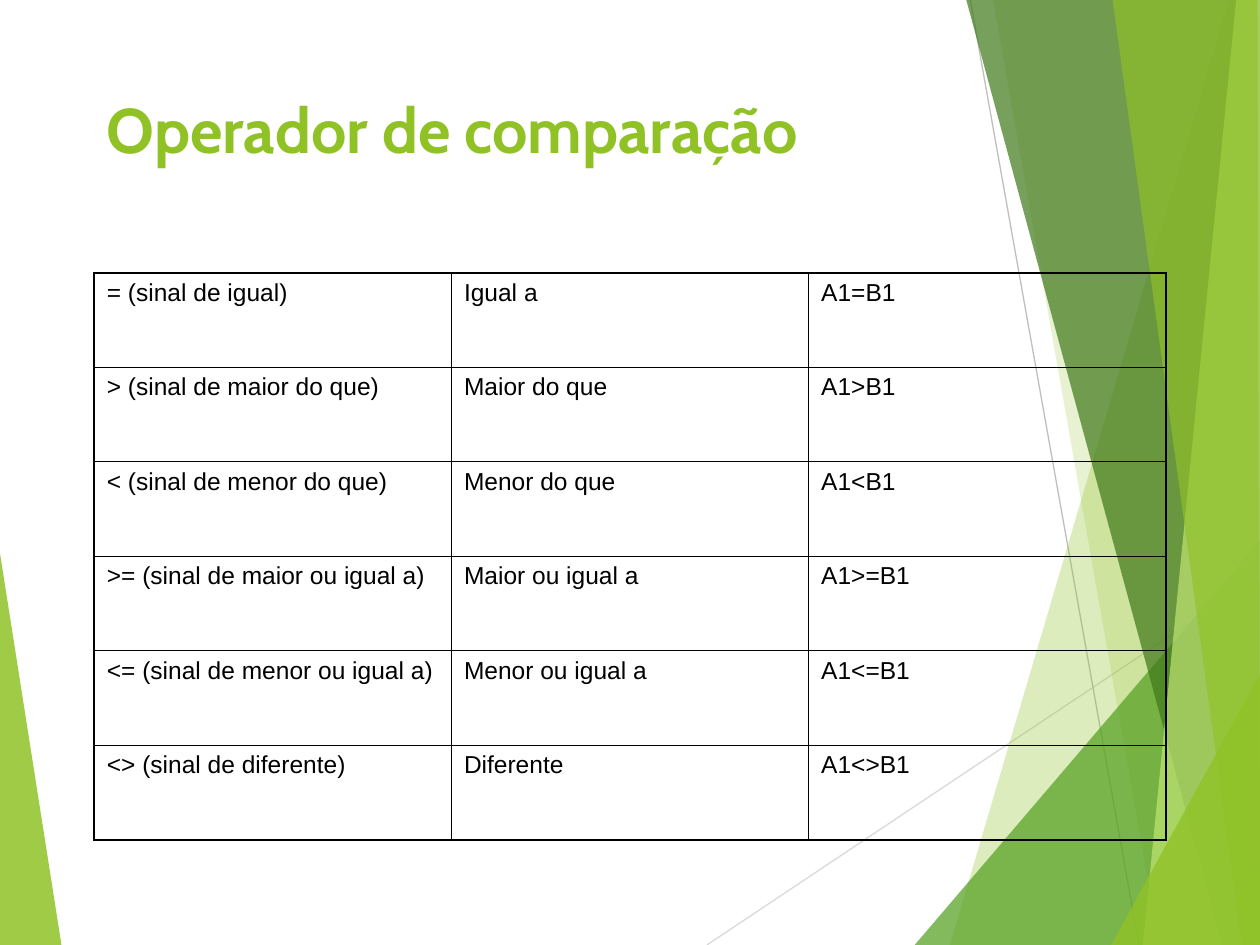
from lxml import etree
from pptx import Presentation
from pptx.dml.color import RGBColor
from pptx.enum.shapes import MSO_CONNECTOR
from pptx.enum.text import MSO_ANCHOR
from pptx.oxml.ns import qn
from pptx.util import Cm, Pt

STRAIGHT = MSO_CONNECTOR.STRAIGHT
TOP = MSO_ANCHOR.TOP
WIDTH, HEIGHT = 25.4, 19.05

# Content
TITLE = "Operador de comparação"
OPERATORS = [
    ("= (sinal de igual)", "Igual a", "A1=B1"),
    ("> (sinal de maior do que)", "Maior do que", "A1>B1"),
    ("< (sinal de menor do que)", "Menor do que", "A1<B1"),
    (">= (sinal de maior ou igual a)", "Maior ou igual a", "A1>=B1"),
    ("<= (sinal de menor ou igual a)", "Menor ou igual a", "A1<=B1"),
    ("<> (sinal de diferente)", "Diferente", "A1<>B1"),
]
COLORS = {
    "green": "90C226",
    "leaf": "54A021",
    "forest": "3F7819",
    "lime": "C0E474",
    "light_gray": "D9D9D9",
    "gray": "BFBFBF",
    "black": "000000",
}

# Decoration in cm: lines as (from, to, color), facets as (color, opacity %, points)
LINES = [
    ((14.25, HEIGHT), (WIDTH, 11.61), "light_gray"),
    ((19.56, 0), (22.96, HEIGHT), "gray"),
]
TOP_RIGHT, BOTTOM_RIGHT = (WIDTH, 0), (WIDTH, HEIGHT)
LEFT_FACET = ("green", 85, [(0, 11.15), (1.24, HEIGHT), (0, HEIGHT)])
RIGHT_FACETS = [
    ("green", 30, [(24.77, 0), (19.15, HEIGHT), BOTTOM_RIGHT, TOP_RIGHT]),
    ("green", 20, [(20.02, 0), (23.37, HEIGHT), BOTTOM_RIGHT, TOP_RIGHT]),
    ("leaf", 72, [(18.44, HEIGHT), (WIDTH, 10.9), BOTTOM_RIGHT]),
    ("forest", 70, [(19.48, 0), (24.64, HEIGHT), BOTTOM_RIGHT, TOP_RIGHT]),
    ("lime", 70, [(24.92, 0), (23.04, HEIGHT), BOTTOM_RIGHT, TOP_RIGHT]),
    ("green", 65, [(22.43, 0), (25.04, HEIGHT), BOTTOM_RIGHT, (25.35, 0)]),
    ("green", 80, [(22.4, HEIGHT), (WIDTH, 13.59), BOTTOM_RIGHT]),
]

# Layout in cm
LEFT, CONTENT_WIDTH = 1.9, 21.6
TITLE_TOP, TITLE_HEIGHT = 1.7, 3.18
TABLE_TOP, TABLE_HEIGHT = 5.5, 11.43
OUTER_BORDER, INNER_BORDER = 1.08, 0.45


def rgb(name):
    return RGBColor.from_string(COLORS[name])


def write_text(text_frame, text, size, font, color, bold=False):
    paragraph = text_frame.paragraphs[0]
    paragraph.text = text
    paragraph.font.size = Pt(size)
    paragraph.font.name = font
    paragraph.font.bold = bold
    paragraph.font.color.rgb = rgb(color)


def add_line(slide, start, end, color):
    connector = slide.shapes.add_connector(
        STRAIGHT, *(Cm(value) for value in start + end))
    connector.line.color.rgb = rgb(color)
    connector.line.width = Pt(0.75)
    etree.SubElement(connector._element.spPr, qn("a:effectLst"))


def add_facet(slide, color, opacity, points):
    corners = [(Cm(x), Cm(y)) for x, y in points]
    builder = slide.shapes.build_freeform(*corners[0])
    builder.add_line_segments(corners[1:], close=True)
    shape = builder.convert_to_shape()
    shape.shadow.inherit = False
    shape.line.fill.background()
    shape.fill.solid()
    shape.fill.fore_color.rgb = rgb(color)
    color_element = shape._element.spPr.find(".//" + qn("a:srgbClr"))
    etree.SubElement(color_element, qn("a:alpha"), val=str(opacity * 1000))


def set_borders(cell, widths):
    properties = cell._tc.get_or_add_tcPr()
    for side in "LRTB":
        line = etree.SubElement(properties, qn(f"a:ln{side}"), w=str(Pt(widths[side])))
        fill = etree.SubElement(line, qn("a:solidFill"))
        etree.SubElement(fill, qn("a:srgbClr"), val=COLORS["black"])


def add_operator_table(slide):
    row_count, column_count = len(OPERATORS), len(OPERATORS[0])
    table = slide.shapes.add_table(
        row_count, column_count, Cm(LEFT), Cm(TABLE_TOP),
        Cm(CONTENT_WIDTH), Cm(TABLE_HEIGHT)).table
    table.first_row = False
    table.horz_banding = False
    for row, texts in enumerate(OPERATORS):
        for column, text in enumerate(texts):
            cell = table.cell(row, column)
            write_text(cell.text_frame, text, size=14, font="Arial", color="black")
            on_edge = {"L": column == 0, "R": column == column_count - 1,
                       "T": row == 0, "B": row == row_count - 1}
            set_borders(cell, {side: OUTER_BORDER if edge else INNER_BORDER
                               for side, edge in on_edge.items()})
            cell.fill.background()


def main():
    presentation = Presentation()
    presentation.slide_width = Cm(WIDTH)
    presentation.slide_height = Cm(HEIGHT)
    slide = presentation.slides.add_slide(presentation.slide_layouts[6])

    # Background decoration
    add_facet(slide, *LEFT_FACET)
    for line in LINES:
        add_line(slide, *line)
    for facet in RIGHT_FACETS:
        add_facet(slide, *facet)

    # Title
    title = slide.shapes.add_textbox(
        Cm(LEFT), Cm(TITLE_TOP), Cm(CONTENT_WIDTH), Cm(TITLE_HEIGHT))
    title.text_frame.word_wrap = True
    title.text_frame.vertical_anchor = TOP
    write_text(title.text_frame, TITLE, size=36, font="Cabin", color="green", bold=True)

    # Comparison operators
    add_operator_table(slide)
    presentation.save("out.pptx")


if __name__ == "__main__":
    main()
